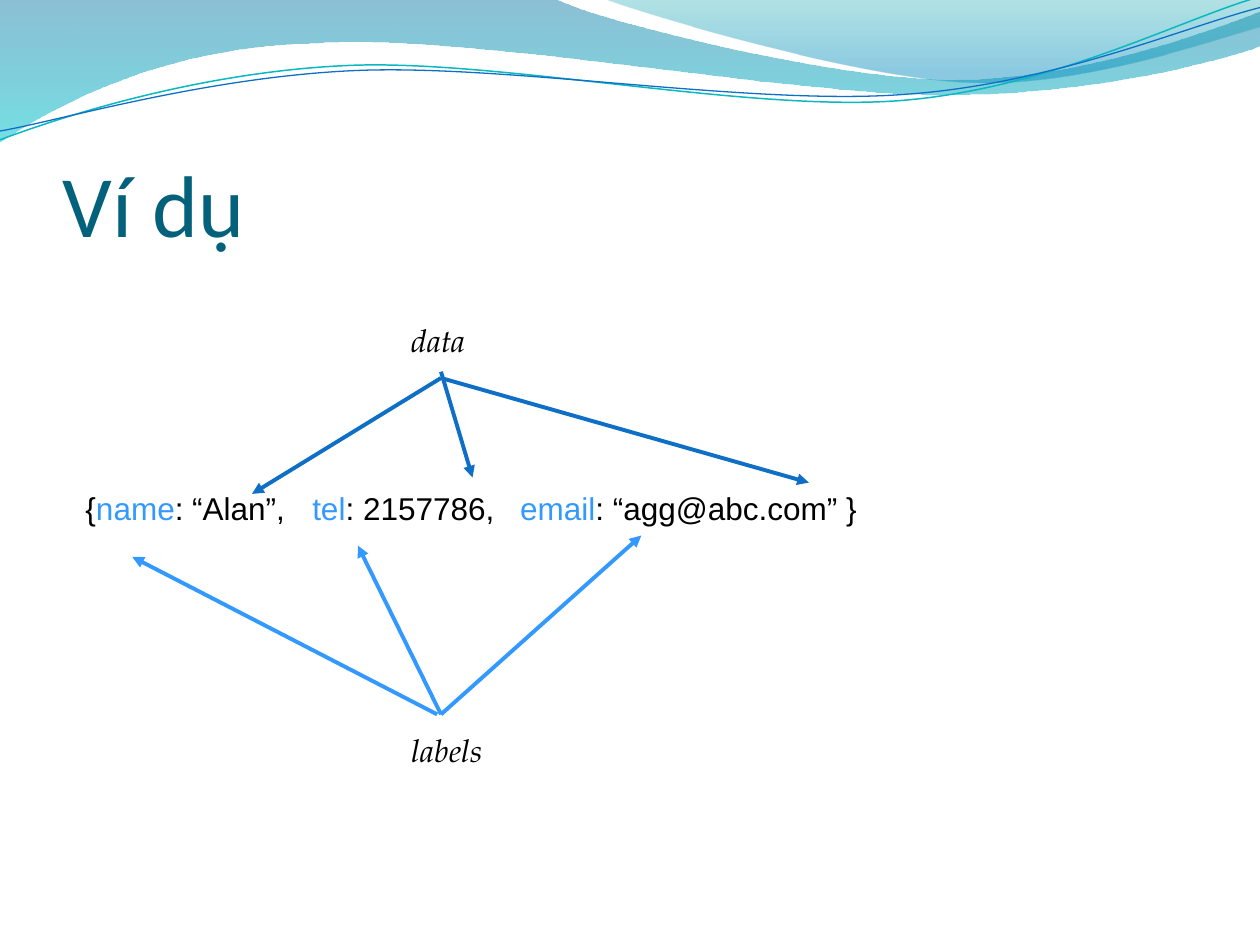
from lxml import etree
from pptx import Presentation, util as u
from pptx.dml.color import RGBColor
from pptx.enum import shapes, text
from pptx.oxml.ns import qn

COLORS = {
    "title": "04617B", "ink": "000000", "label": "3399FF", "data": "0F6FC6",
    "teal_line": "0AB8BF", "wave_top": "0074A1", "wave_bottom": "00C6CF",
    "crest_top": "00A1A9", "crest_bottom": "008BBF",
}

# Each outline is a start point, then points (straight) or triples (Bezier)
WAVE = [(0, 0), (4.4, -0.01),
        ((4.76, 0.17), (6.64, 0.63), (7.58, 0.63)),
        ((8.53, 0.63), (9.58, 0.26), (10, 0.09)), (10.01, 0.36),
        ((9.83, 0.44), (8.7, 0.76), (7.46, 0.75)),
        ((6.22, 0.75), (3.82, 0.28), (2.57, 0.34)),
        ((1.29, 0.36), (0.46, 0.83), (-0.01, 1.13)), (0, 0)]
CREST = [(4.79, -0.01),
         ((5.09, 0.11), (6.82, 0.62), (7.69, 0.65)),
         ((8.56, 0.69), (9.61, 0.32), (10, 0.21)), (10, 0), (4.79, -0.01)]
TEAL_CURVE = [(0, 1.11),
              ((0.48, 0.93), (1.58, 0.57), (2.77, 0.52)),
              ((3.95, 0.47), (5.93, 0.89), (7.13, 0.8)),
              ((8.33, 0.71), (9.38, 0.15), (9.98, -0.02))]
BLUE_CURVE = [(0, 1.04),
              ((0.47, 0.96), (1.64, 0.61), (2.83, 0.56)),
              ((4.03, 0.51), (5.97, 0.84), (7.17, 0.75)),
              ((8.36, 0.67), (9.41, 0.21), (10, 0.06))]


def rgb(name):
    return RGBColor.from_string(COLORS[name])


def is_curve(part):
    return len(part) == 3


def add_outline(slide, left, top, outline, close):
    """Draw all points as straight segments, then join triples into Beziers."""
    points = []
    for part in outline:
        points.extend(part if is_curve(part) else [part])
    points = [(u.Inches(left + x), u.Inches(top + y)) for x, y in points]
    builder = slide.shapes.build_freeform(*points[0])
    builder.add_line_segments(points[1:], close=close)
    shape = builder.convert_to_shape()
    shape.shadow.inherit = False

    segments = iter(list(shape.element.iter(qn("a:lnTo"))))
    for part in outline[1:]:
        segment = next(segments)
        if is_curve(part):
            segment.addprevious(curve := etree.Element(qn("a:cubicBezTo")))
            for joined in (segment, next(segments), next(segments)):
                curve.append(joined[0])
                joined.getparent().remove(joined)
    return shape


def add_gradient_band(slide, left, top, outline, stops):
    shape = add_outline(slide, left, top, outline, close=True)
    shape.line.fill.background()
    shape.fill.gradient()
    shape.fill.gradient_angle = 270
    for stop, (position, color, _) in zip(shape.fill.gradient_stops, stops):
        stop.position = position
        stop.color.rgb = rgb(color)
    for element, (_, _, opacity) in zip(shape.element.iter(qn("a:srgbClr")), stops):
        etree.SubElement(element, qn("a:alpha"), val=str(opacity * 1000))


def add_curve(slide, left, top, outline, color, width):
    shape = add_outline(slide, left, top, outline, close=False)
    shape.fill.background()
    shape.line.color.rgb = rgb(color)
    shape.line.width = u.Pt(width)


def add_text(slide, left, top, width, height, runs, font, size, italic=False, wrap=True):
    box = slide.shapes.add_textbox(*map(u.Inches, (left, top, width, height)))
    box.text_frame.word_wrap = wrap
    paragraph = box.text_frame.paragraphs[0]
    for words, color in runs:
        run = paragraph.add_run()
        run.text = words
        run.font.name = font
        run.font.size = u.Pt(size)
        run.font.italic = italic
        run.font.color.rgb = rgb(color)
    return box


def add_arrow(slide, start, end, color):
    line = slide.shapes.add_connector(shapes.MSO_CONNECTOR.STRAIGHT,
                                      *map(u.Inches, (*start, *end)))
    line.line.color.rgb = rgb(color)
    line.line.width = u.Pt(2.25)
    outline = line.element.spPr.find(qn("a:ln"))
    etree.SubElement(outline, qn("a:tailEnd"), type="triangle")
    etree.SubElement(line.element.spPr, qn("a:effectLst"))


def add_header_waves(slide, left, top):
    add_gradient_band(slide, left, top, WAVE,
                      [(0, "wave_top", 45), (1, "wave_bottom", 55)])
    add_gradient_band(slide, left, top, CREST,
                      [(0, "crest_top", 30), (0.8, "crest_bottom", 45)])
    add_curve(slide, left, top, TEAL_CURVE, "teal_line", 0.85)
    add_curve(slide, left, top, BLUE_CURVE, "data", 0.75)


def add_title(slide, left, top, width, height):
    box = add_text(slide, left, top, width, height, [("Ví dụ", "title")], "Calibri", 50)
    frame = box.text_frame
    frame.vertical_anchor = text.MSO_ANCHOR.BOTTOM
    frame.margin_left = frame.margin_right = frame.margin_bottom = 0


def add_record_diagram(slide, left, top, width):
    # Record, with tab stops between its fields
    record = add_text(slide, left, top + 1.33, width, 0.5, [
        ("{", "ink"), ("name", "label"), (": “Alan”,\t", "ink"),
        ("tel", "label"), (": 2157786,\t", "ink"),
        ("email", "label"), (": “agg@abc.com” }", "ink")], "Arial", 18)
    properties = record.text_frame.paragraphs[0]._p.get_or_add_pPr()
    tabs = etree.SubElement(properties, qn("a:tabLst"))
    for position in (1.8, 3.45):
        etree.SubElement(tabs, qn("a:tab"), pos=str(u.Inches(position)), algn="l")

    # Captions, each with arrows to the fields
    groups = [
        ("labels", 3.25, 1, "label", [((2.89, 3.17), (0.47, 1.92)),
                                      ((2.92, 3.17), (4.51, 1.75)),
                                      ((2.92, 3.17), (2.26, 1.83))]),
        ("data", 0, 0.79, "data", [((2.92, 0.5), (1.42, 1.42)),
                                   ((2.92, 0.45), (3.17, 1.29)),
                                   ((2.92, 0.5), (5.84, 1.33))]),
    ]
    for caption, offset, caption_width, color, arrows in groups:
        for ends in arrows:
            start, end = [(left + x, top + y) for x, y in ends]
            add_arrow(slide, start, end, color)
        add_text(slide, left + 2.59, top + offset, caption_width, 0.5,
                 [(caption, "ink")], "TeX Gyre Pagella", 18, italic=True, wrap=False)


def main():
    presentation = Presentation()
    presentation.slide_width = u.Inches(10)
    presentation.slide_height = u.Inches(7.5)
    slide = presentation.slides.add_slide(presentation.slide_layouts[6])
    add_header_waves(slide, 0, 0)
    add_title(slide, 0.5, 0.77, 9, 1.25)
    add_record_diagram(slide, 0.58, 2.5, 8.92)
    presentation.save("out.pptx")


if __name__ == "__main__":
    main()
